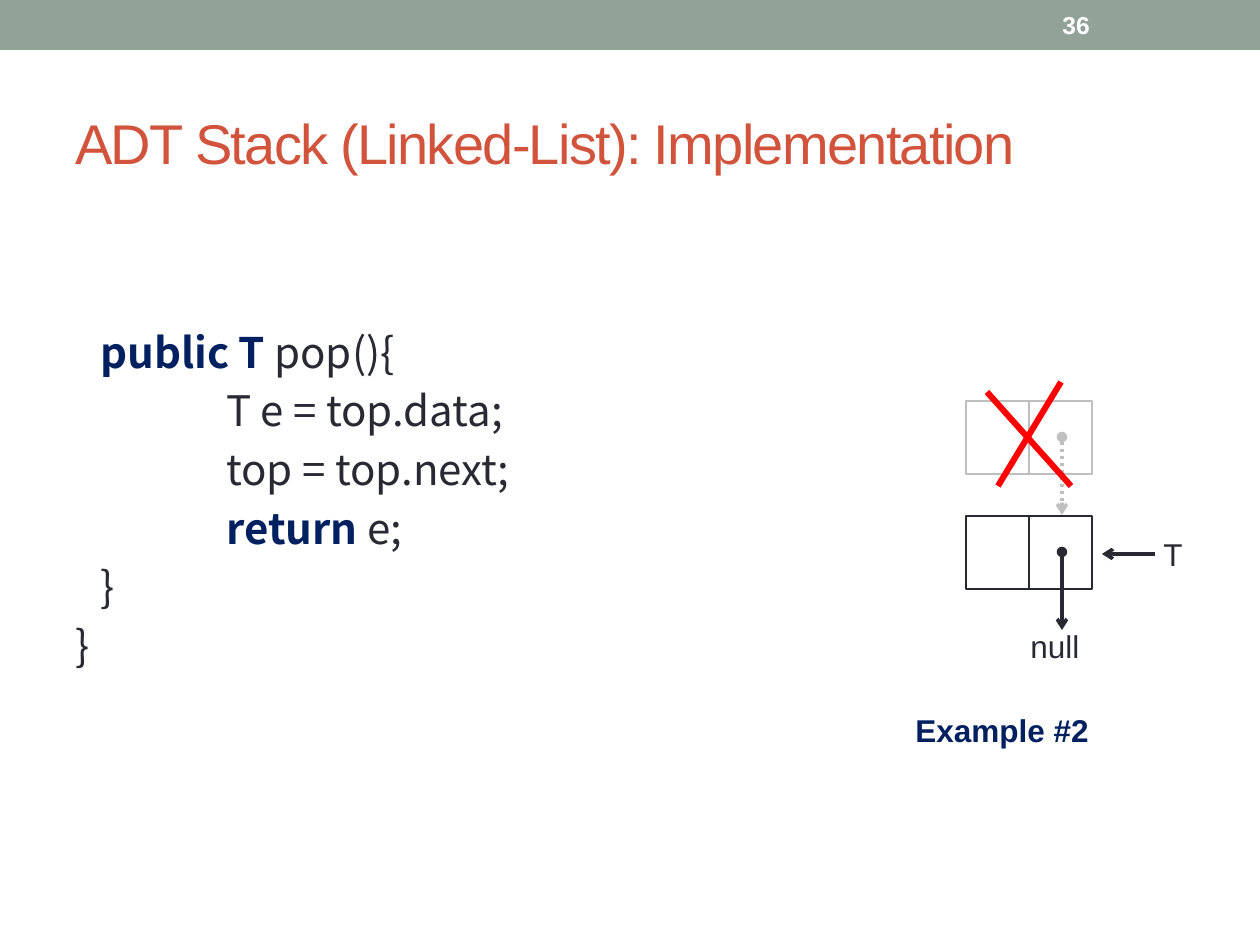
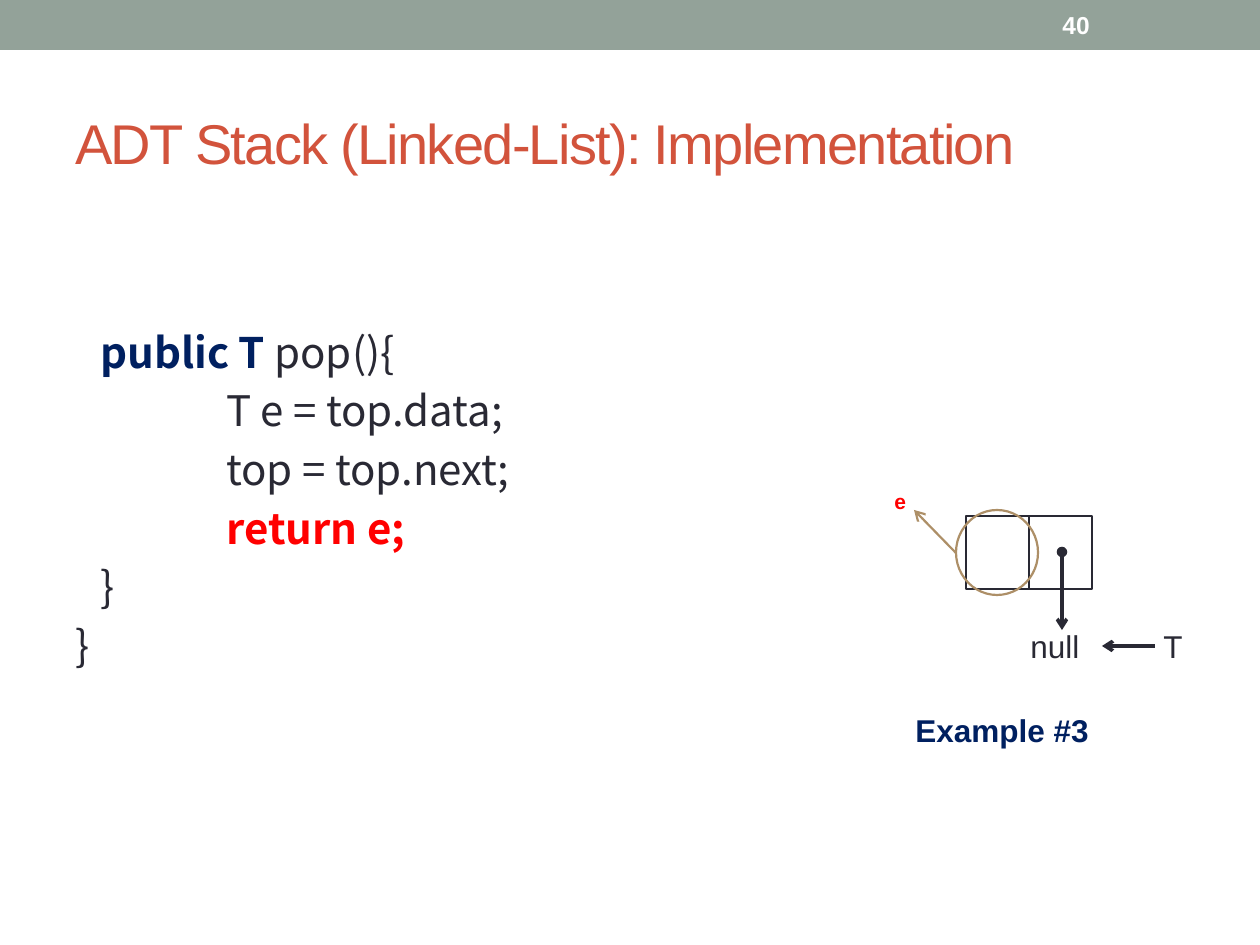
import pptx
import pptx.util
import pptx.dml.color
import pptx.enum.dml
import pptx.enum.shapes
import pptx.enum.text
import pptx.oxml.ns
from lxml import etree

RGB = pptx.dml.color.RGBColor
SAGE = RGB(0x93, 0xA2, 0x99)
RUST = RGB(0xD2, 0x53, 0x3C)
INK = RGB(0x29, 0x29, 0x34)
NAVY = RGB(0x00, 0x20, 0x60)
RED = RGB(0xFF, 0x00, 0x00)
GREY = RGB(0xBF, 0xBF, 0xBF)
TAN = RGB(0xAD, 0x8F, 0x67)
WHITE = RGB(0xFF, 0xFF, 0xFF)

SANS = "Arial"
CODE_FONT = "Noto Sans CJK SC"
TITLE = "ADT Stack (Linked-List): Implementation"

LEVEL_INDENTS = [0, 25, 151]
OPENING = [
    (1, [("public T", NAVY, True), (" pop(){", INK, False)]),
    (2, [("T e = top.data;", INK, False)]),
    (2, [("top = top.next;", INK, False)]),
]
CLOSING = [(1, [("}", INK, False)]), (0, [("}", INK, False)])]

SLIDES = [
    {
        "number": "36",
        "example": "Example #2",
        "return": [("return", NAVY, True), (" e;", INK, False)],
        "top_y": 554,
        "nodes": [(516, INK, False), (401, GREY, True)],
        "cross": [((1061, 382), (998, 486)), ((987, 392), (1071, 486))],
    },
    {
        "number": "40",
        "example": "Example #3",
        "return": [("return e;", RED, True)],
        "top_y": 646,
        "nodes": [(516, INK, False)],
        "returned": True,
    },
]

NODE_X, NODE_W, NODE_H = 966, 126, 73
POINTER_X, POINTER_DY, POINTER_LEN = 1062, 36, 78


def px(n):
    return pptx.util.Emu(round(n * 914400 / 126))


def add_preset(s, shape, box, fill=None, line=None):
    sp = s.shapes.add_shape(shape, *map(px, box))
    sp.shadow.inherit = False
    if fill is None:
        sp.fill.background()
    else:
        sp.fill.solid()
        sp.fill.fore_color.rgb = fill
    if line is None:
        sp.line.fill.background()
    else:
        sp.line.color.rgb = line
        sp.line.width = pptx.util.Pt(1.25)
    return sp


def add_line(s, start, end, color, width, head=None, tail=None, dotted=False):
    cn = s.shapes.add_connector(
        pptx.enum.shapes.MSO_CONNECTOR.STRAIGHT, *map(px, start + end))
    cn.line.color.rgb = color
    cn.line.width = pptx.util.Pt(width)
    if dotted:
        cn.line.dash_style = pptx.enum.dml.MSO_LINE.ROUND_DOT
    ln = cn.line._get_or_add_ln()
    for tag, kind in (("a:headEnd", head), ("a:tailEnd", tail)):
        if kind:
            etree.SubElement(ln, pptx.oxml.ns.qn(tag), type=kind)
    etree.SubElement(cn._element.spPr, pptx.oxml.ns.qn("a:effectLst"))
    return cn


def add_text(s, box, text, size, color, bold=False, wrap=True, middle=False):
    tf = s.shapes.add_textbox(*map(px, box)).text_frame
    tf.word_wrap = wrap
    if middle:
        tf.vertical_anchor = pptx.enum.text.MSO_ANCHOR.MIDDLE
    else:
        tf.auto_size = pptx.enum.text.MSO_AUTO_SIZE.SHAPE_TO_FIT_TEXT
    p = tf.paragraphs[0]
    p.text = text
    p.font.name = SANS
    p.font.size = pptx.util.Pt(size)
    p.font.bold = bold
    p.font.color.rgb = color
    return p


def add_frame(s, number):
    add_preset(s, pptx.enum.shapes.MSO_SHAPE.RECTANGLE, (0, 0, 1260, 50), SAGE)
    p = add_text(s, (63, 74, 1134, 136), TITLE, 32, RUST, middle=True)
    p.runs[0]._r.get_or_add_rPr().set("spc", "-100")
    add_text(s, (1050, 2, 147, 45), number, 14, WHITE, bold=True, middle=True)


def add_code(s, lines):
    tf = s.shapes.add_textbox(*map(px, (63, 220, 1134, 672))).text_frame
    tf.word_wrap = True
    tf.margin_top = px(98)
    for i, (level, runs) in enumerate(lines):
        p = tf.paragraphs[0] if i == 0 else tf.add_paragraph()
        p._p.get_or_add_pPr().set("marL", str(px(LEVEL_INDENTS[level])))
        p.line_spacing = pptx.util.Pt(33.5)
        p.font.name = CODE_FONT
        p.font.size = pptx.util.Pt(24)
        for text, color, bold in runs:
            r = p.add_run()
            r.text = text
            r.font.bold = bold
            r.font.color.rgb = color


def add_node(s, y, color, dotted):
    sp = add_preset(s, pptx.enum.shapes.MSO_SHAPE.RECTANGLE,
                    (NODE_X, y, NODE_W, NODE_H), WHITE, color)
    middle = NODE_X + NODE_W // 2
    divider = add_line(s, (middle, y), (middle, y + NODE_H), color, 0.75)
    divider.begin_connect(sp, 0)
    divider.end_connect(sp, 2)
    start = y + POINTER_DY
    add_line(s, (POINTER_X, start), (POINTER_X, start + POINTER_LEN), color, 2,
             head="oval", tail="arrow", dotted=dotted)


def add_returned_element(s):
    add_preset(s, pptx.enum.shapes.MSO_SHAPE.OVAL, (956, 510, 82, 85), line=TAN)
    add_line(s, (956, 553), (914, 510), TAN, 1.25, tail="arrow")
    add_text(s, (882, 482, 32, 38), "e", 12, RED, bold=True)


def add_top_reference(s, y):
    add_line(s, (1155, y), (1102, y), INK, 2, tail="arrow")
    add_text(s, (1151, y - 25, 45, 50), "T", 18, INK, wrap=False)


def main():
    prs = pptx.Presentation()
    prs.slide_width, prs.slide_height = px(1260), px(945)
    for content in SLIDES:
        s = prs.slides.add_slide(prs.slide_layouts[6])
        add_frame(s, content["number"])
        add_code(s, OPENING + [(2, content["return"])] + CLOSING)
        add_text(s, (1018, 621, 83, 50), "null", 18, INK, wrap=False)
        add_text(s, (903, 705, 207, 50), content["example"], 18, NAVY,
                 bold=True, wrap=False)
        for node in content["nodes"]:
            add_node(s, *node)
        if content.get("returned"):
            add_returned_element(s)
        add_top_reference(s, content["top_y"])
        for start, end in content.get("cross", []):
            add_line(s, start, end, RED, 3.5)
    prs.save("out.pptx")


if __name__ == "__main__":
    main()
